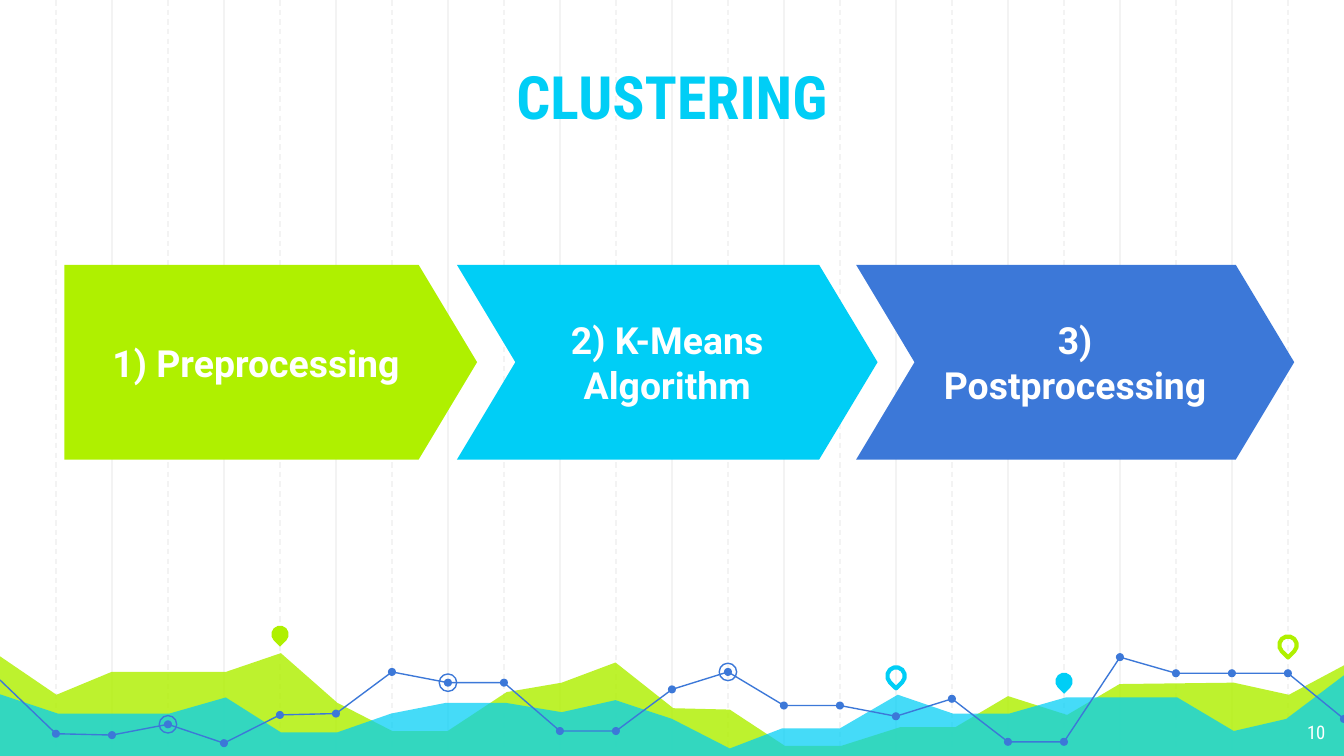
from lxml import etree
from pptx import Presentation
from pptx.dml.color import RGBColor
from pptx.enum import dml, shapes, text
from pptx.oxml.ns import qn
from pptx.util import Inches, Pt

LIME = RGBColor(0xAF, 0xF0, 0x00)
CYAN = RGBColor(0x00, 0xCE, 0xF6)
BLUE = RGBColor(0x3C, 0x78, 0xD8)
GRAY = RGBColor(0xF3, 0xF3, 0xF3)
WHITE = RGBColor(0xFF, 0xFF, 0xFF)

SHAPE = shapes.MSO_SHAPE
WIDTH = 10
HEIGHT = WIDTH * 9 / 16
COLUMNS = 24
STEP = WIDTH / COLUMNS
GRID_BOTTOM = 5.65
DOT_SIZE, MARKER_SIZE = 0.06, 0.13

TITLE = "CLUSTERING"
PAGE_NUMBER = "10"
STEP_TOP, STEP_HEIGHT = 1.97, 1.45
STEPS = [
    ("1) Preprocessing", SHAPE.PENTAGON, 0.48, 3.07, LIME),
    ("2) K-Means Algorithm", SHAPE.CHEVRON, 3.4, 3.13, CYAN),
    ("3) Postprocessing", SHAPE.CHEVRON, 6.37, 3.26, BLUE),
]

WAVES = [
    (LIME, 82, [
        (-0.02, 4.87), (0.42, 5.17), (0.83, 5), (1.68, 5), (2.09, 4.86), (2.51, 5.23),
        (2.92, 5.44), (3.33, 5.44), (3.77, 5.15), (4.18, 5.08), (4.58, 4.93), (5.01, 5.27),
        (5.43, 5.28), (5.84, 5.55), (6.26, 5.55), (6.7, 5.41), (7.11, 5.41), (7.5, 5.18),
        (7.94, 5.32), (8.33, 5.09), (9.18, 5.08), (9.59, 5.17), (10.02, 4.94)]),
    (CYAN, 73, [
        (-0.02, 5.16), (0.43, 5.31), (1.26, 5.31), (1.68, 5.19), (2.09, 5.45), (2.51, 5.45),
        (2.91, 5.31), (3.32, 5.23), (3.76, 5.23), (4.18, 5.3), (4.58, 5.21), (5, 5.35),
        (5.43, 5.57), (5.82, 5.42), (6.25, 5.42), (6.68, 5.17), (7.09, 5.31), (7.51, 5.31),
        (7.93, 5.19), (8.76, 5.19), (9.18, 5.44), (9.57, 5.35), (10.02, 5.01)]),
]
TREND = [5.06, 5.46, 5.47, 5.39, 5.53, 5.32, 5.31, 5, 5.08, 5.08, 5.44, 5.44, 5.13, 5,
         5.25, 5.25, 5.33, 5.2, 5.52, 5.52, 4.89, 5.01, 5.01, 5.01, 5.35]
TREND_BREAKS = [0, 11, 20, 24]
RINGED_COLUMNS = [3, 8, 13]
PINS = [
    (5, 4.72, LIME, True),
    (16, 5.03, CYAN, False),
    (19, 5.07, CYAN, True),
    (23, 4.8, LIME, False),
]


def paint(shape, fill=None, line=None, weight=0.75):
    shape.shadow.inherit = False
    if fill is None:
        shape.fill.background()
    else:
        shape.fill.solid()
        shape.fill.fore_color.rgb = fill
    if line is None:
        shape.line.fill.background()
    else:
        shape.line.color.rgb = line
        shape.line.width = Pt(weight)


def write(shape, content, size, font, color, bold=False,
          align=text.PP_ALIGN.CENTER, anchor=text.MSO_ANCHOR.MIDDLE):
    frame = shape.text_frame
    frame.word_wrap = True
    frame.vertical_anchor = anchor
    frame.margin_left = frame.margin_right = Inches(0.1)
    frame.margin_top = frame.margin_bottom = Inches(0.1)
    paragraph = frame.paragraphs[0]
    paragraph.alignment = align
    run = paragraph.add_run()
    run.text = content
    run.font.size = Pt(size)
    run.font.name = font
    run.font.bold = bold
    run.font.color.rgb = color


def add_grid_line(slide, column):
    x = Inches(column * STEP)
    line = slide.shapes.add_connector(
        shapes.MSO_CONNECTOR.STRAIGHT, x, 0, x, Inches(GRID_BOTTOM))
    line.line.color.rgb = GRAY
    line.line.width = Pt(0.75)
    if column % 2:
        line.line.dash_style = dml.MSO_LINE.DASH
    etree.SubElement(line._element.spPr, qn("a:effectLst"))


def add_path(slide, points, close):
    corners = [(Inches(x), Inches(y)) for x, y in points]
    builder = slide.shapes.build_freeform(*corners[0])
    builder.add_line_segments(corners[1:], close=close)
    return builder.convert_to_shape()


def add_wave(slide, color, opacity, ridge):
    bottom = [(10.02, GRID_BOTTOM), (-0.03, GRID_BOTTOM)]
    wave = add_path(slide, ridge + bottom, True)
    paint(wave, fill=color)
    color_node = wave._element.spPr.find(qn("a:solidFill"))[0]
    etree.SubElement(color_node, qn("a:alpha"), val=str(opacity * 1000))


def add_marker(slide, kind, x, y, size, **colors):
    marker = slide.shapes.add_shape(
        kind, Inches(x - size / 2), Inches(y - size / 2), Inches(size), Inches(size))
    paint(marker, **colors)
    return marker


def add_pin(slide, column, y, color, solid):
    colors = {"fill": color} if solid else {"line": color, "weight": 2.25}
    pin = add_marker(slide, SHAPE.TEAR, column * STEP, y, MARKER_SIZE, **colors)
    pin.rotation = 135


def add_trend(slide):
    points = [(column * STEP, y) for column, y in enumerate(TREND)]
    for first, last in zip(TREND_BREAKS, TREND_BREAKS[1:]):
        paint(add_path(slide, points[first:last + 1], False), line=BLUE)
    for x, y in points[1:]:
        add_marker(slide, SHAPE.OVAL, x, y, DOT_SIZE, fill=BLUE)
    for column in RINGED_COLUMNS:
        add_marker(slide, SHAPE.OVAL, *points[column], MARKER_SIZE, line=BLUE)


def add_step(slide, label, kind, left, width, color):
    step = slide.shapes.add_shape(
        kind, Inches(left), Inches(STEP_TOP), Inches(width), Inches(STEP_HEIGHT))
    step.adjustments[0] = 0.3
    paint(step, fill=color)
    write(step, label, size=20, font="Roboto", color=WHITE, bold=True)


def add_label(slide, content, left, top, width, height, **style):
    box = slide.shapes.add_textbox(Inches(left), Inches(top), Inches(width), Inches(height))
    write(box, content, font="Roboto Condensed", **style)


def main():
    presentation = Presentation()
    presentation.slide_width = Inches(WIDTH)
    presentation.slide_height = Inches(HEIGHT)
    slide = presentation.slides.add_slide(presentation.slide_layouts[6])

    for column in [*range(2, COLUMNS, 2), *range(1, COLUMNS, 2)]:
        add_grid_line(slide, column)
    for wave in WAVES:
        add_wave(slide, *wave)
    add_trend(slide)
    for pin in PINS:
        add_pin(slide, *pin)
    for step in STEPS:
        add_step(slide, *step)
    add_label(slide, PAGE_NUMBER, 9.36, 5.28, 0.6, 0.35, size=10, color=WHITE,
              align=text.PP_ALIGN.RIGHT, anchor=text.MSO_ANCHOR.TOP)
    add_label(slide, TITLE, 0, 0.3, WIDTH, 0.78, size=32, color=CYAN, bold=True,
              anchor=text.MSO_ANCHOR.BOTTOM)
    presentation.save("out.pptx")


if __name__ == "__main__":
    main()
